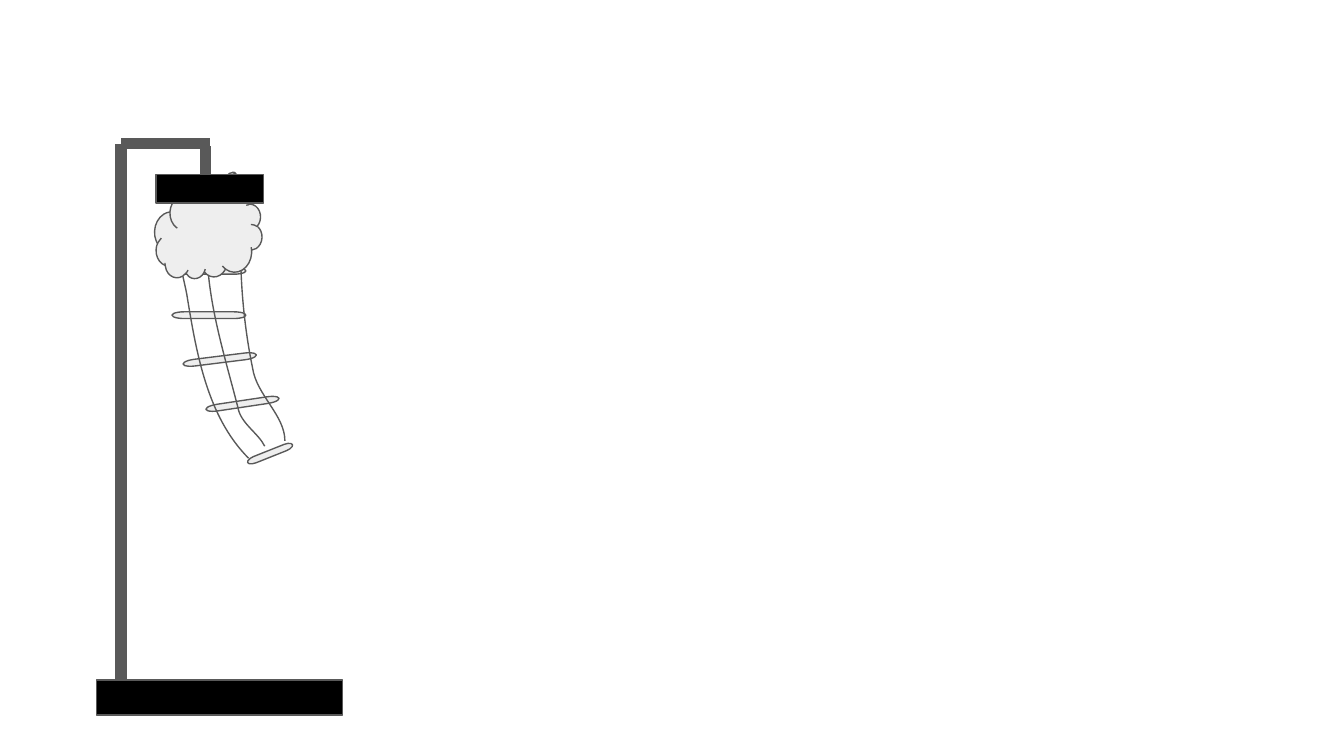
"""Build a slide showing a ringed tube hanging from a stand."""
from lxml import etree
from pptx import Presentation
from pptx.dml.color import RGBColor
from pptx.enum.shapes import MSO_CONNECTOR, MSO_SHAPE
from pptx.oxml.ns import qn
from pptx.util import Inches, Pt

RECTANGLE = MSO_SHAPE.RECTANGLE
RING = MSO_SHAPE.FLOWCHART_TERMINATOR
CLOUD = MSO_SHAPE.CLOUD_CALLOUT
STRAIGHT = MSO_CONNECTOR.STRAIGHT

COLORS = {"outline": "595959", "pale": "EEEEEE", "black": "000000"}
THIN, THICK = 0.75, 6
RING_HEIGHT = 0.05

RINGS = [
    (1.28, 1.99, 0.55, 0),
    (1.28, 2.32, 0.55, 0),
    (1.36, 2.65, 0.55, 352.9),
    (1.53, 2.98, 0.55, 351.5),
    (1.83, 3.35, 0.36, 338.3),
]
STRANDS = [
    [(1.79, 1.83), (1.79, 2.14), (1.82, 2.45), (1.88, 2.74),
     (1.91, 2.94), (2.12, 3.09), (2.12, 3.28)],
    [(1.54, 1.83), (1.54, 2.24), (1.67, 2.64), (1.77, 3.03),
     (1.79, 3.15), (1.92, 3.22), (1.97, 3.32)],
    [(1.35, 1.86), (1.33, 1.97), (1.37, 2.08), (1.39, 2.19),
     (1.46, 2.62), (1.54, 3.1), (1.85, 3.41)],
]
CLOUD_BOX = (1.15, 1.38, 0.8, 0.7)
BASE_BOX = (0.72, 5.06, 1.83, 0.26)
CLAMP_BOX = (1.16, 1.3, 0.8, 0.21)
STAND_BARS = [
    (0.9, 5.06, 0.9, 1.07),
    (1.56, 1.07, 0.9, 1.07),
    (1.53, 1.3, 1.53, 1.09),
]


def color(name):
    return RGBColor.from_string(COLORS[name])


def set_line(item, width):
    item.line.color.rgb = color("outline")
    item.line.width = Pt(width)


def add_solid(shapes, kind, box, fill, rotation=0):
    solid = shapes.add_shape(kind, *map(Inches, box))
    solid.shadow.inherit = False
    solid.fill.solid()
    solid.fill.fore_color.rgb = color(fill)
    solid.rotation = rotation
    set_line(solid, THIN)
    return solid


def add_strand(shapes, points):
    """Draw a Bezier chain: a start point, then three points per curve."""
    start, *controls = [(Inches(x), Inches(y)) for x, y in points]
    builder = shapes.build_freeform(*start)
    builder.add_line_segments(controls, close=False)
    strand = builder.convert_to_shape()
    strand.shadow.inherit = False
    strand.fill.background()
    set_line(strand, THIN)
    segments = list(strand.element.iter(qn("a:lnTo")))
    outline = segments[0].getparent()
    for first in range(0, len(segments), 3):
        curve = etree.SubElement(outline, qn("a:cubicBezTo"))
        for segment in segments[first:first + 3]:
            curve.append(segment[0])
            outline.remove(segment)


def add_bar(shapes, ends):
    bar = shapes.add_connector(STRAIGHT, *map(Inches, ends))
    set_line(bar, THICK)
    etree.SubElement(bar.element.spPr, qn("a:effectLst"))


deck = Presentation()
deck.slide_width = Inches(10)
deck.slide_height = Inches(10 * 9 / 16)
page = deck.slides.add_slide(deck.slide_layouts[6])
shapes = page.shapes

for left, top, width, rotation in RINGS:
    add_solid(shapes, RING, (left, top, width, RING_HEIGHT), "pale", rotation)
for strand_points in STRANDS:
    add_strand(shapes, strand_points)
cloud = add_solid(shapes, CLOUD, CLOUD_BOX, "pale", 182.7)
cloud.adjustments[0], cloud.adjustments[1] = -0.208, 0.625
add_solid(shapes, RECTANGLE, BASE_BOX, "black")
for bar_ends in STAND_BARS:
    add_bar(shapes, bar_ends)
add_solid(shapes, RECTANGLE, CLAMP_BOX, "black")

deck.save("out.pptx")
